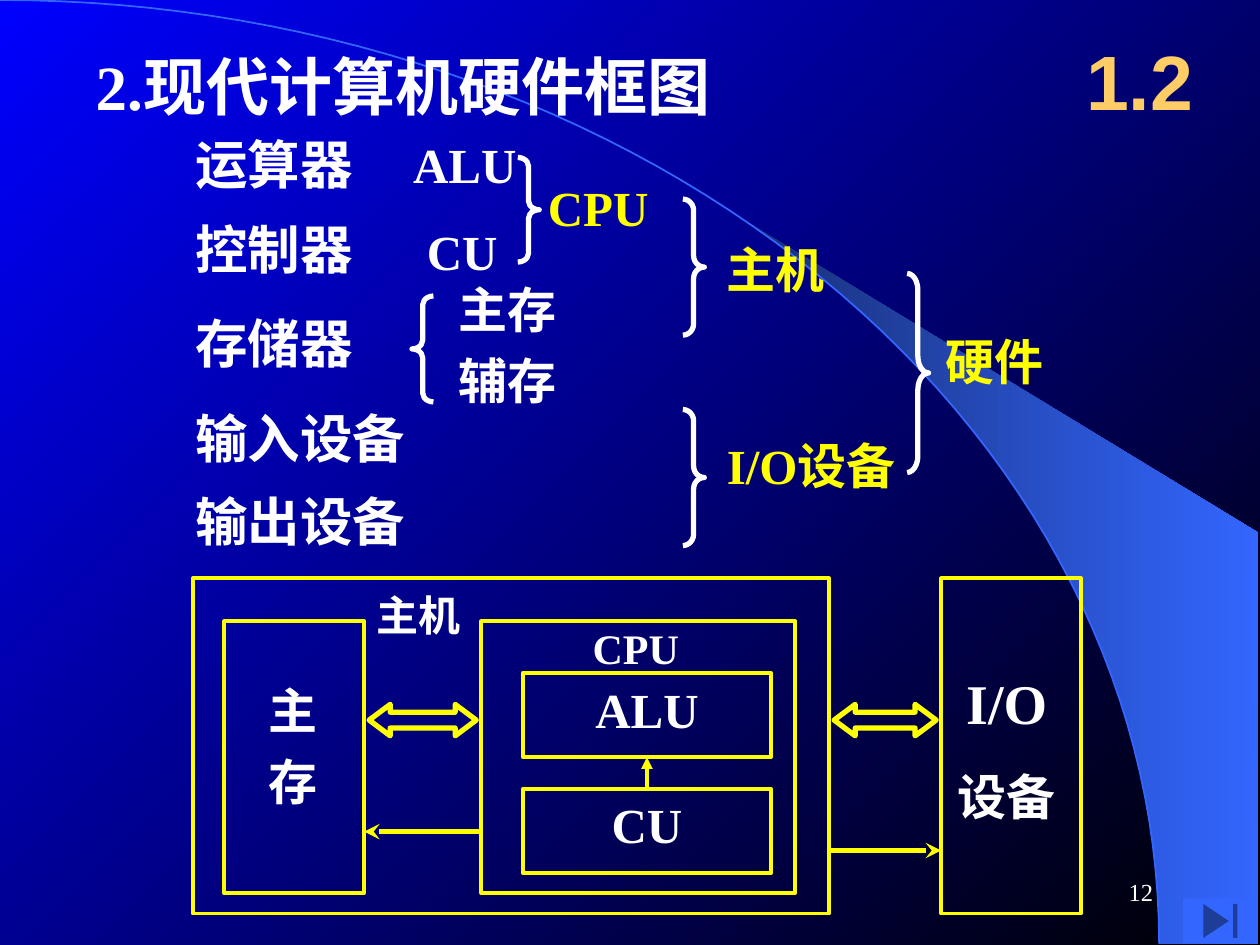
from dataclasses import dataclass
from math import asin, cos, pi, sin

from lxml.etree import SubElement
from pptx import Presentation
from pptx.dml.color import RGBColor
from pptx.enum.shapes import MSO_CONNECTOR as CONN, MSO_SHAPE as SHAPE
from pptx.enum.text import MSO_ANCHOR as ANCHOR, MSO_AUTO_SIZE as AUTO, PP_ALIGN as ALIGN
from pptx.oxml.ns import qn
from pptx.util import Inches, Pt


@dataclass(frozen=True)
class Theme:
    white: RGBColor = RGBColor(0xFF, 0xFF, 0xFF)
    yellow: RGBColor = RGBColor(0xFF, 0xFF, 0x00)
    gold: RGBColor = RGBColor(0xFF, 0xCC, 0x66)
    navy: RGBColor = RGBColor(0x18, 0x2F, 0x76)
    sky: RGBColor = RGBColor(0x33, 0x66, 0xFF)
    blue: RGBColor = RGBColor(0x00, 0x00, 0xFF)
    black: RGBColor = RGBColor(0x00, 0x00, 0x00)
    latin: str = "Times New Roman"
    sans: str = "Arial"
    cjk: str = "Noto Sans CJK SC"
    section: int = 44
    title: int = 36
    device: int = 32
    component: int = 30
    label: int = 28
    caption: int = 24
    number: int = 14
    box_line: float = 2.13
    thin_line: float = 2.25
    thick_line: float = 3


T = Theme()


def style(p, size, color=T.white, align=ALIGN.LEFT, font=T.latin, bold=True):
    p.alignment = align
    f = p.font
    f.size, f.bold, f.name = Pt(size), bold, font
    f.color.rgb = color
    SubElement(f._element, qn("a:ea")).set("typeface", T.cjk)


def write(sp, lines, sizes, gap=0, anchor=ANCHOR.TOP, wrap=True, inset=0.1, **kw):
    """Fill a shape with one paragraph per line, gap points apart."""
    tf = sp.text_frame
    tf.auto_size, tf.word_wrap, tf.vertical_anchor = AUTO.NONE, wrap, anchor
    tf.margin_left = tf.margin_right = Inches(inset)
    tf.margin_top = tf.margin_bottom = Inches(inset / 2)
    tf.text = "\n".join(lines)
    for i, (p, size) in enumerate(zip(tf.paragraphs, sizes)):
        style(p, size, **kw)
        if i:
            p.space_before = Pt(gap)


def add_text(s, x, y, w, h, lines, size=T.label, **kw):
    lines = [lines] if isinstance(lines, str) else lines
    sizes = size if isinstance(size, list) else [size] * len(lines)
    box = s.shapes.add_textbox(Inches(x), Inches(y), Inches(w), Inches(h))
    write(box, lines, sizes, **kw)


def add_outline(s, kind, x, y, w, h, color=T.yellow, width=T.box_line, adj=()):
    sp = s.shapes.add_shape(kind, Inches(x), Inches(y), Inches(w), Inches(h))
    sp.shadow.inherit = False
    sp.fill.background()
    sp.line.color.rgb, sp.line.width = color, Pt(width)
    for i, value in enumerate(adj):
        sp.adjustments[i] = value
    return sp


def add_brace(s, kind, x, y, h, w=0.17):
    add_outline(s, kind, x, y, w, h, T.white, T.thick_line, (h / w / 12, 0.5))


def add_arrow(s, x1, y1, x2, y2, head, width):
    c = s.shapes.add_connector(CONN.STRAIGHT, *map(Inches, (x1, y1, x2, y2)))
    c.line.color.rgb, c.line.width = T.yellow, Pt(width)
    props = c._element.spPr
    SubElement(props.find(qn("a:ln")), qn("a:tailEnd")).set("type", head)
    SubElement(props, qn("a:effectLst"))
    return c


def set_gradient(fill, first, last, angle):
    fill.gradient()
    fill.gradient_angle = angle
    for stop, color, position in zip(fill.gradient_stops, (first, last), (0, 1)):
        stop.color.rgb, stop.position = color, position


def add_freeform(s, points, close):
    points = [(Inches(x), Inches(y)) for x, y in points]
    builder = s.shapes.build_freeform(*points[0])
    builder.add_line_segments(points[1:], close=close)
    sp = builder.convert_to_shape()
    sp.shadow.inherit = False
    return sp


def backdrop(s, rx, ry, right):
    """Gradient, a quarter ellipse with radii rx and ry, and the beam beside it."""
    set_gradient(s.background.fill, T.blue, T.black, 315)

    def curve(start, steps=60):
        angles = [start + (pi / 2 - start) * i / steps for i in range(steps + 1)]
        return [(rx * sin(a), ry * (1 - cos(a))) for a in angles]

    beam = add_freeform(s, curve(asin(5.89 / rx)) + [(right, ry), (right, 4.23)], True)
    set_gradient(beam.fill, T.navy, T.sky, 0)
    beam.line.fill.background()
    arc = add_freeform(s, curve(0), False)
    arc.fill.background()
    arc.line.color.rgb, arc.line.width = T.sky, Pt(1)


def heading(s, x, y):
    title = s.shapes.title
    title.left, title.top, title.width, title.height = map(Inches, (x, y, 6.34, 0.7))
    write(title, ["2.现代计算机硬件框图"], [T.title])
    title.element.getparent().append(title.element)  # in front of the backdrop
    add_text(s, x + 7.76, y - 0.16, 1.25, 0.92, "1.2", T.section, color=T.gold,
             align=ALIGN.CENTER, font=T.sans, anchor=ANCHOR.MIDDLE)


def component_tree(s, x, y):
    """The five components, joined by braces into larger units."""
    components = (("运算器", 0), ("控制器", 0.67), ("存储器", 1.42),
                  ("输入设备", 2.17), ("输出设备", 2.83))
    for text, dy in components:
        add_text(s, x, y + dy, 2.32, 0.6, text, T.component)
    for text, dx, dy, w in ("ALU", 1.73, 0.02, 1.02), ("CU", 1.84, 0.71, 0.76):
        add_text(s, x + dx, y + dy, w, 0.57, text, wrap=False)
    add_text(s, x + 2.09, y + 1.17, 0.97, 1.13, ["主存", "辅存"], gap=7, wrap=False)
    units = (("CPU", 2.8, 0.36, 1), ("主机", 4.22, 0.85, 0.97),
             ("I/O设备", 4.22, 2.41, 1.93), ("硬件", 5.96, 1.58, 0.97))
    for text, dx, dy, w in units:
        add_text(s, x + dx, y + dy, w, 0.57, text, color=T.yellow, wrap=False)
    add_brace(s, SHAPE.LEFT_BRACE, x + 1.82, y + 1.35, 0.84)
    for dx, dy, h in (2.66, 0.25, 0.83), (3.97, 0.58, 1.08), (3.97, 2.25, 1.08), (5.75, 1.17, 1.58):
        add_brace(s, SHAPE.RIGHT_BRACE, x + dx, y + dy, h)


def block_diagram(s, x, y, h):
    """Host with memory and CPU, linked to the I/O devices."""
    inner_y, inner_h = y + 0.34, h - 0.5
    host_w, side_w = 5.05, 1.11
    memory_x, cpu_x, io_x = x + 0.25, x + 2.29, x + 5.94
    for bx, by, bw, bh in ((x, y, host_w, h), (io_x, y, side_w, h),
                           (memory_x, inner_y, side_w, inner_h), (cpu_x, inner_y, 2.49, inner_h)):
        add_outline(s, SHAPE.RECTANGLE, bx, by, bw, bh)

    units = []
    for text, dy in ("ALU", 0.75), ("CU", 1.67):
        unit = add_outline(s, SHAPE.RECTANGLE, cpu_x + 0.33, y + dy, 1.97, 0.67)
        write(unit, [text], [T.label], align=ALIGN.CENTER)
        units.append(unit)
    alu, cu = units
    link = add_arrow(s, 0, 0, 0, 0, "triangle", T.thin_line)
    link.begin_connect(cu, 0)
    link.end_connect(alu, 2)

    add_text(s, x + 1.46, y + 0.09, 0.67, 0.4, "主机", T.caption, inset=0, wrap=False)
    add_text(s, x + 3.17, y + 0.35, 0.69, 0.4, "CPU", T.caption, inset=0, align=ALIGN.CENTER)
    add_text(s, x + 0.5, y + 0.76, 0.59, 1.13, ["主", "存"], gap=7, align=ALIGN.CENTER)
    add_text(s, x + 5.92, y + 0.67, 1.08, 1.35, ["I/O", "设备"], [T.device, T.label],
             gap=17.5, align=ALIGN.CENTER)

    for left, right in (memory_x + side_w, cpu_x), (x + host_w, io_x):
        add_outline(s, SHAPE.LEFT_RIGHT_ARROW, left + 0.04, y + 1, right - left - 0.08, 0.25,
                    width=T.thick_line, adj=(0.5, 0.67))
    add_arrow(s, cpu_x, y + 2.01, memory_x + side_w, y + 2.01, "stealth", T.thick_line)
    add_arrow(s, x + host_w, y + 2.16, io_x, y + 2.16, "stealth", T.thick_line)


def footer(s, x, y):
    add_text(s, x, y, 2.08, 0.5, "12", T.number, align=ALIGN.RIGHT, bold=False, anchor=ANCHOR.MIDDLE)
    button = add_outline(s, SHAPE.ACTION_BUTTON_END, x + 2.22, y + 0.3, 0.59, 0.36)
    button.fill.solid()
    button.fill.fore_color.rgb = T.sky
    button.line.fill.background()


def main():
    prs = Presentation()
    prs.slide_width, prs.slide_height = Inches(10), Inches(7.5)
    s = prs.slides.add_slide(prs.slide_layouts[5])
    backdrop(s, 9.2, 7.49, 9.99)
    heading(s, 0.66, 0.33)
    component_tree(s, 1.45, 1)
    block_diagram(s, 1.53, 4.59, 2.66)
    footer(s, 7.17, 6.83)
    prs.save("out.pptx")


if __name__ == "__main__":
    main()
